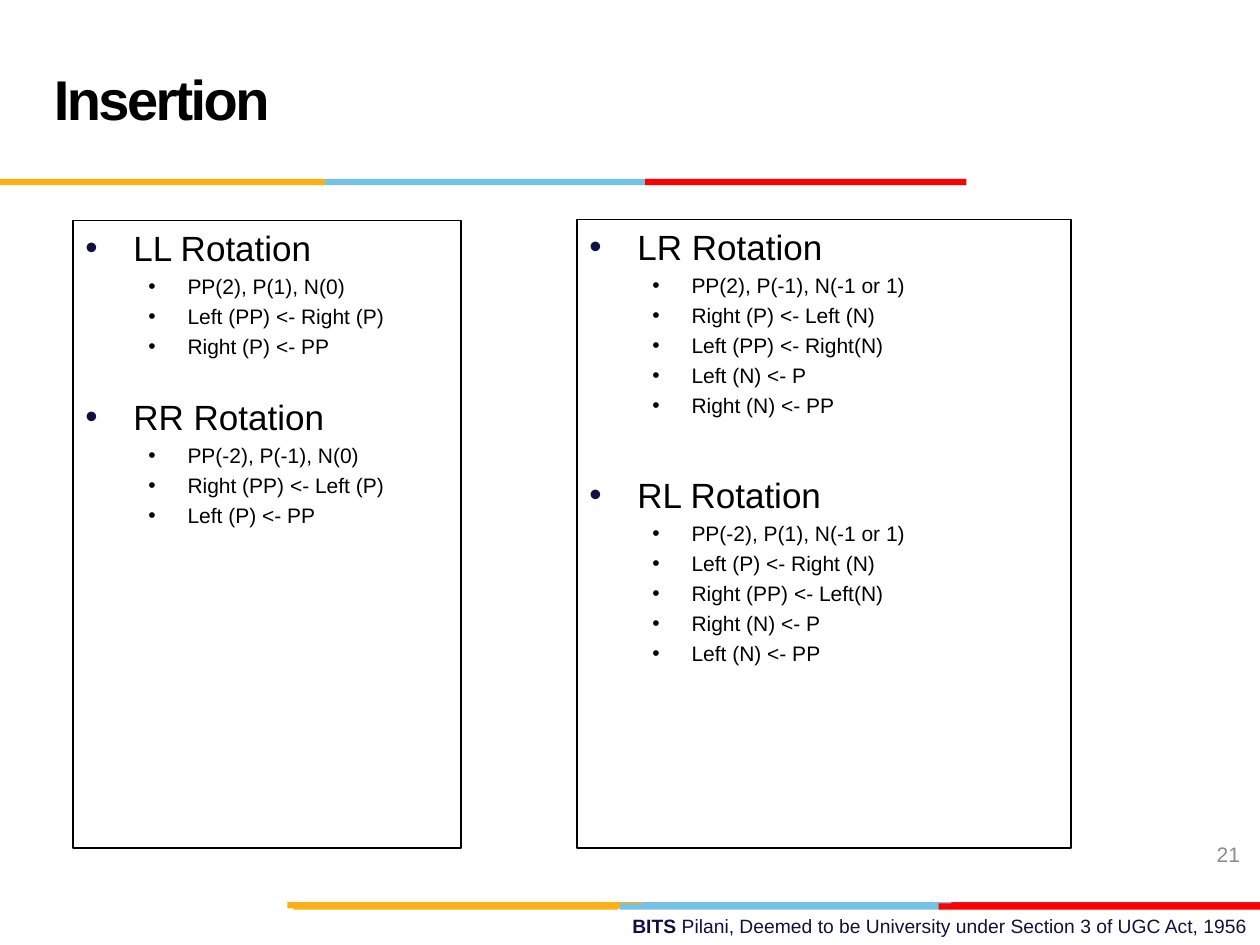
import pptx
import pptx.dml.color
import pptx.enum.shapes
import pptx.enum.text
import pptx.oxml
import pptx.oxml.ns
import pptx.util
from pptx.util import Inches, Pt

PP_ALIGN = pptx.enum.text.PP_ALIGN
ANCHOR = pptx.enum.text.MSO_ANCHOR

THEME = {
    "font": "Arial",
    "ink": "000000", "navy": "101141", "grey": "8C8C8C",
    "gold": "FCB017", "sky": "76C2E5", "red": "FF0000", "crimson": "E31C24",
    "title": 32, "heading": 20, "step": 12, "number": 12, "footer": 11,
}

TITLE = "Insertion"
PAGE_NUMBER = "21"
FOOTER = [("BITS ", True),
          ("Pilani, Deemed to be University under Section 3 of UGC Act, 1956", False)]

# Box (left, top, width, height), gap above the second rotation in points, rotations
PANELS = [
    ((0.58, 1.75, 3.08, 4.98), 21.2, [
        ("LL Rotation", ["PP(2), P(1), N(0)", "Left (PP) <- Right (P)", "Right (P) <- PP"]),
        ("RR Rotation", ["PP(-2), P(-1), N(0)", "Right (PP) <- Left (P)", "Left (P) <- PP"]),
    ]),
    ((4.58, 1.74, 3.92, 4.99), 32.2, [
        ("LR Rotation", ["PP(2), P(-1), N(-1 or 1)", "Right (P) <- Left (N)",
                         "Left (PP) <- Right(N)", "Left (N) <- P", "Right (N) <- PP"]),
        ("RL Rotation", ["PP(-2), P(1), N(-1 or 1)", "Left (P) <- Right (N)",
                         "Right (PP) <- Left(N)", "Right (N) <- P", "Left (N) <- PP"]),
    ]),
]
STEP_GAP = 2.76

# Top of each stripe, then its bands as (left, width, colour)
BAND_HEIGHT = 0.05
STRIPES = [
    (7.16, [(5.06, 2.55, "sky"), (7.55, 2.45, "crimson"), (2.28, 2.82, "gold")]),
    (7.17, [(4.92, 2.55, "sky"), (2.33, 2.58, "gold"), (7.45, 2.55, "red")]),
    (1.42, [(2.58, 2.55, "sky"), (0, 2.58, "gold"), (5.12, 2.55, "red")]),
]


def rgb(name):
    return pptx.dml.color.RGBColor.from_string(THEME[name])


def style(font, size, colour, bold=False):
    font.name = THEME["font"]
    font.size = Pt(THEME[size])
    font.color.rgb = rgb(colour)
    font.bold = bold


def add_rectangle(slide, box):
    rectangle = slide.shapes.add_shape(
        pptx.enum.shapes.MSO_SHAPE.RECTANGLE, *map(Inches, box))
    rectangle.shadow.inherit = False
    return rectangle


def add_label(slide, box, runs, size, colour, align=PP_ALIGN.LEFT, anchor=ANCHOR.MIDDLE):
    """Add a one-paragraph text box from (text, bold) runs."""
    frame = slide.shapes.add_textbox(*map(Inches, box)).text_frame
    frame.word_wrap = True
    frame.vertical_anchor = anchor
    paragraph = frame.paragraphs[0]
    paragraph.alignment = align
    for text, bold in runs:
        run = paragraph.add_run()
        run.text = text
        style(run.font, size, colour, bold)
    return paragraph


def add_bullet(paragraph, margin, hanging, colour):
    properties = paragraph._p.get_or_add_pPr()
    properties.set("marL", str(Inches(margin)))
    properties.set("indent", str(-Inches(hanging)))
    namespace = pptx.oxml.ns.nsdecls("a")
    for xml in (
        f'<a:buClr {namespace}><a:srgbClr val="{THEME[colour]}"/></a:buClr>',
        f'<a:buFont {namespace} typeface="{THEME["font"]}"/>',
        f'<a:buChar {namespace} char="•"/>',
    ):
        properties.append(pptx.oxml.parse_xml(xml))


def add_panel(slide, box, rotation_gap, rotations):
    panel = add_rectangle(slide, box)
    panel.fill.background()
    panel.line.color.rgb = rgb("ink")
    panel.line.width = Pt(0.75)
    frame = panel.text_frame
    frame.word_wrap = True
    frame.vertical_anchor = ANCHOR.TOP

    lines = []
    for index, (heading, steps) in enumerate(rotations):
        lines.append((heading, 0, rotation_gap if index else 0))
        lines += [(step, 1, STEP_GAP) for step in steps]

    for index, (text, level, gap) in enumerate(lines):
        paragraph = frame.add_paragraph() if index else frame.paragraphs[0]
        paragraph.text = text
        paragraph.level = level
        paragraph.alignment = PP_ALIGN.LEFT
        paragraph.space_before = Pt(gap)
        if level:
            add_bullet(paragraph, 0.81, 0.31, "ink")
        else:
            add_bullet(paragraph, 0.38, 0.38, "navy")
        style(paragraph.runs[0].font, "step" if level else "heading", "ink")


def main():
    deck = pptx.Presentation()
    deck.slide_width, deck.slide_height = Inches(10), Inches(7.5)
    slide = deck.slides.add_slide(deck.slide_layouts[6])

    add_label(slide, (3.58, 7.21, 6.42, 0.29), FOOTER, "footer", "navy",
              PP_ALIGN.RIGHT, ANCHOR.TOP)
    for top, bands in STRIPES:
        for left, width, colour in bands:
            band = add_rectangle(slide, (left, top, width, BAND_HEIGHT))
            band.fill.solid()
            band.fill.fore_color.rgb = rgb(colour)
            band.line.fill.background()

    title = add_label(slide, (0.33, 0.17, 7.17, 1.25), [(TITLE, True)], "title", "ink")
    title.line_spacing = Pt(36)
    title.runs[0].font._element.set("spc", "-150")

    add_label(slide, (7.61, 6.58, 2.33, 0.4), [(PAGE_NUMBER, False)], "number", "grey",
              PP_ALIGN.RIGHT)
    for box, rotation_gap, rotations in PANELS:
        add_panel(slide, box, rotation_gap, rotations)

    deck.save("out.pptx")


if __name__ == "__main__":
    main()
